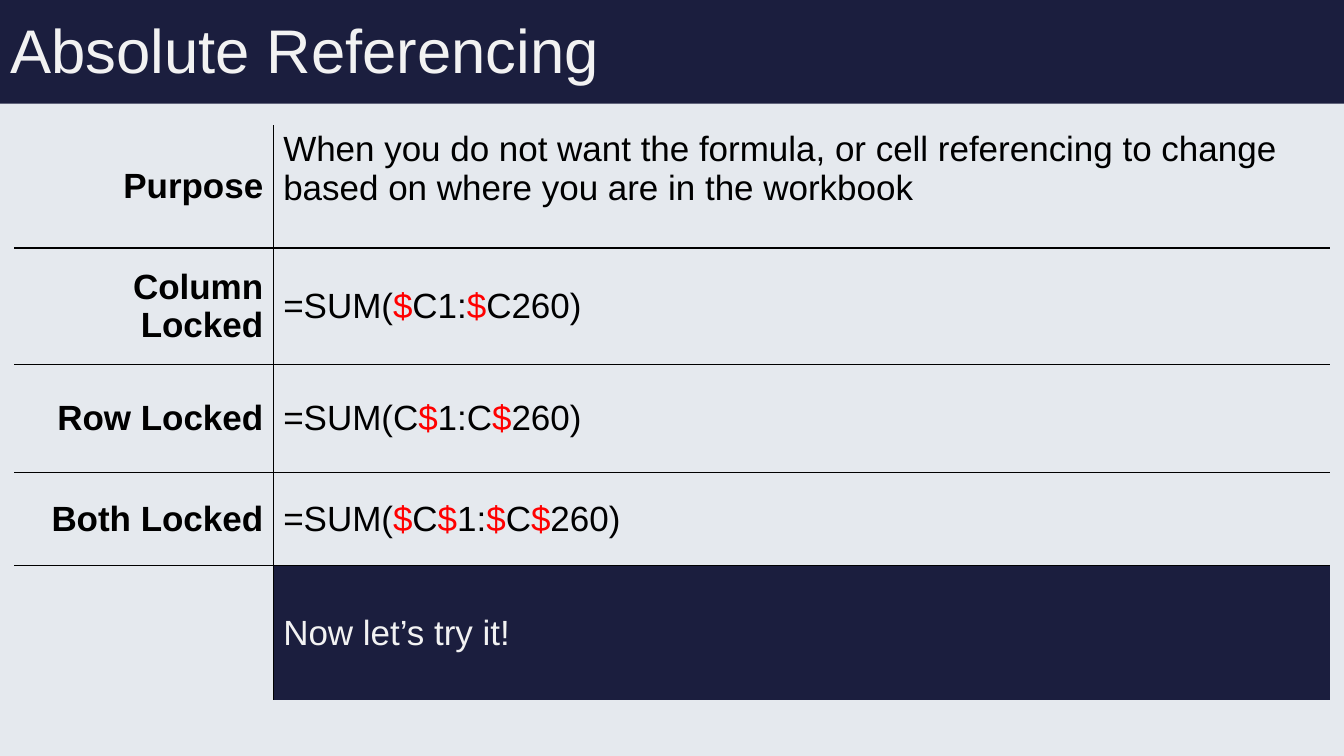
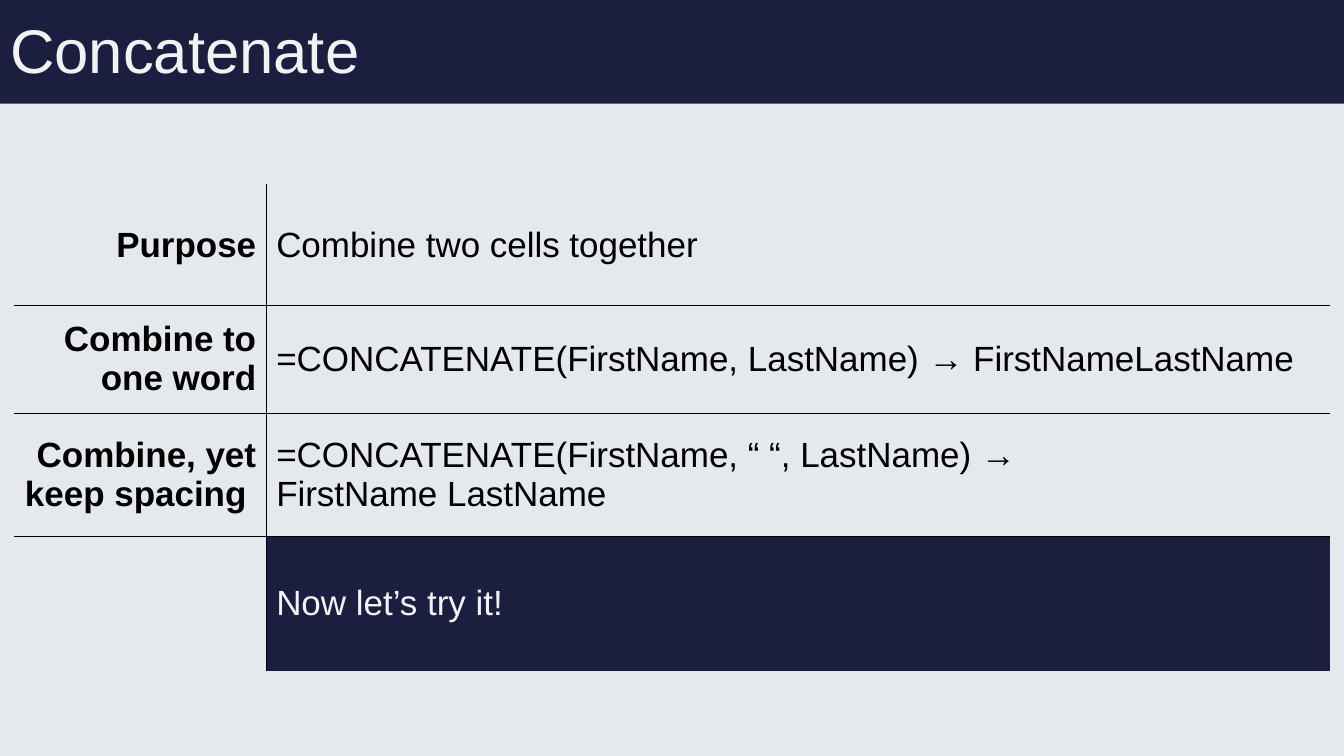
from dataclasses import dataclass

import pptx
import pptx.dml.color
import pptx.enum.shapes
import pptx.enum.text
import pptx.oxml
import pptx.oxml.ns
import pptx.util
from pptx.util import Inches

PLAIN_TABLE_STYLE = "{2D5ABB26-0587-4C30-8999-92F81FD0307C}"
TITLE_ONLY = 5
CALL_TO_ACTION = "Now let’s try it!"


@dataclass(frozen=True)
class Theme:
    font: str = "Arial"
    title_size: int = 44
    table_size: int = 25
    rule_width: int = 1
    page: str = "E5E9EE"
    navy: str = "1B1E3E"
    light: str = "F2F2F2"
    ink: str = "000000"
    accent: str = "FF0000"


def rgb(value):
    return pptx.dml.color.RGBColor.from_string(value)


class Deck:
    """Holds the presentation, its theme and the slide being built."""

    def __init__(self, theme):
        self.theme = theme
        self.presentation = pptx.Presentation()
        self.presentation.slide_width = Inches(13.33)
        self.presentation.slide_height = Inches(7.5)
        self.slide = None

    def add_slide(self, heading):
        layout = self.presentation.slide_layouts[TITLE_ONLY]
        self.slide = self.presentation.slides.add_slide(layout)
        self.add_panel(self.presentation.slide_height, self.theme.page)
        self.add_panel(Inches(1.03), self.theme.navy)
        self.set_title(heading)

    def add_panel(self, height, color):
        """Draw a full-width rectangle from the top of the slide."""
        panel = self.slide.shapes.add_shape(
            pptx.enum.shapes.MSO_SHAPE.RECTANGLE,
            0, 0, self.presentation.slide_width, height)
        panel.shadow.inherit = False
        panel.fill.solid()
        panel.fill.fore_color.rgb = rgb(color)
        panel.line.fill.background()

    def set_title(self, heading):
        title = self.slide.shapes.title
        title.left, title.top = Inches(0), Inches(-0.19)
        title.width, title.height = Inches(11.5), Inches(1.45)
        # Bring the title in front of the panels.
        title.element.getparent().append(title.element)
        title.text_frame.vertical_anchor = pptx.enum.text.MSO_ANCHOR.MIDDLE
        paragraph = title.text_frame.paragraphs[0]
        paragraph.alignment = pptx.enum.text.PP_ALIGN.LEFT
        paragraph.line_spacing = 0.9
        self.add_run(paragraph, heading, self.theme.title_size, self.theme.light)

    def add_run(self, paragraph, text, size, color, bold=False):
        run = paragraph.add_run()
        run.text = text
        run.font.name = self.theme.font
        run.font.size = pptx.util.Pt(size)
        run.font.bold = bold
        run.font.color.rgb = rgb(color)

    def add_guide(self, top, label_width, row_heights, entries):
        """Add a table of labels and explanations, closed by the call to action."""
        width = 13.05
        rows = entries + [("", CALL_TO_ACTION)]
        table = self.slide.shapes.add_table(
            len(rows), 2, Inches(0.14), Inches(top),
            Inches(width), Inches(sum(row_heights))).table
        table.first_row = table.horz_banding = False
        style = table._tbl.tblPr.find(pptx.oxml.ns.qn("a:tableStyleId"))
        style.text = PLAIN_TABLE_STYLE
        table.columns[0].width = Inches(label_width)
        table.columns[1].width = Inches(width - label_width)

        last = len(rows) - 1
        for index, (label, explanation) in enumerate(rows):
            table.rows[index].height = Inches(row_heights[index])
            across = ("T" if index > 0 else "") + ("B" if index < last else "")
            label_cell, text_cell = table.cell(index, 0), table.cell(index, 1)
            self.format_cell(label_cell, "R" + across)
            self.format_cell(text_cell, "L" + across,
                             self.theme.navy if index == last else None)
            if label:
                paragraph = label_cell.text_frame.paragraphs[0]
                paragraph.alignment = pptx.enum.text.PP_ALIGN.RIGHT
                self.add_run(paragraph, label, self.theme.table_size,
                             self.theme.ink, bold=True)
            self.write_explanation(
                text_cell, explanation,
                self.theme.light if index == last else self.theme.ink)
        return table

    def format_cell(self, cell, ruled_sides, color=None):
        cell.vertical_anchor = pptx.enum.text.MSO_ANCHOR.MIDDLE
        properties = cell._tc.get_or_add_tcPr()
        width = pptx.util.Pt(self.theme.rule_width)
        rule = f'<a:solidFill><a:srgbClr val="{self.theme.ink}"/></a:solidFill>'
        for side in "LRTB":
            paint = rule if side in ruled_sides else "<a:noFill/>"
            properties.append(pptx.oxml.parse_xml(
                f'<a:ln{side} {pptx.oxml.ns.nsdecls("a")} w="{width}">'
                f"{paint}</a:ln{side}>"))
        if color:
            cell.fill.solid()
            cell.fill.fore_color.rgb = rgb(color)
        else:
            cell.fill.background()

    def write_explanation(self, cell, text, color):
        """Write text with each $ accented and each newline as a line break."""
        paragraph = cell.text_frame.paragraphs[0]
        size = self.theme.table_size
        for line_number, line in enumerate(text.split("\n")):
            if line_number:
                paragraph.add_line_break()
            for part_number, part in enumerate(line.split("$")):
                if part_number:
                    self.add_run(paragraph, "$", size, self.theme.accent)
                if part:
                    self.add_run(paragraph, part, size, color)


def main():
    deck = Deck(Theme())

    deck.add_slide("Absolute Referencing")
    referencing = deck.add_guide(1.24, 2.57, [1.22, 1.16, 1.07, 0.92, 1.34], [
        ("Purpose", "When you do not want the formula, or cell referencing "
                    "to change based on where you are in the workbook"),
        ("Column Locked", "=SUM($C1:$C260)"),
        ("Row Locked", "=SUM(C$1:C$260)"),
        ("Both Locked", "=SUM($C$1:$C$260)"),
    ])
    referencing.cell(0, 1).vertical_anchor = pptx.enum.text.MSO_ANCHOR.TOP

    deck.add_slide("Concatenate")
    deck.add_guide(1.83, 2.5, [1.2, 1.07, 1.22, 1.34], [
        ("Purpose", "Combine two cells together"),
        ("Combine to one word",
         "=CONCATENATE(FirstName, LastName) → FirstNameLastName"),
        ("Combine, yet keep spacing ",
         "=CONCATENATE(FirstName, “ “, LastName) →\nFirstName LastName"),
    ])

    deck.presentation.save("out.pptx")


if __name__ == "__main__":
    main()
